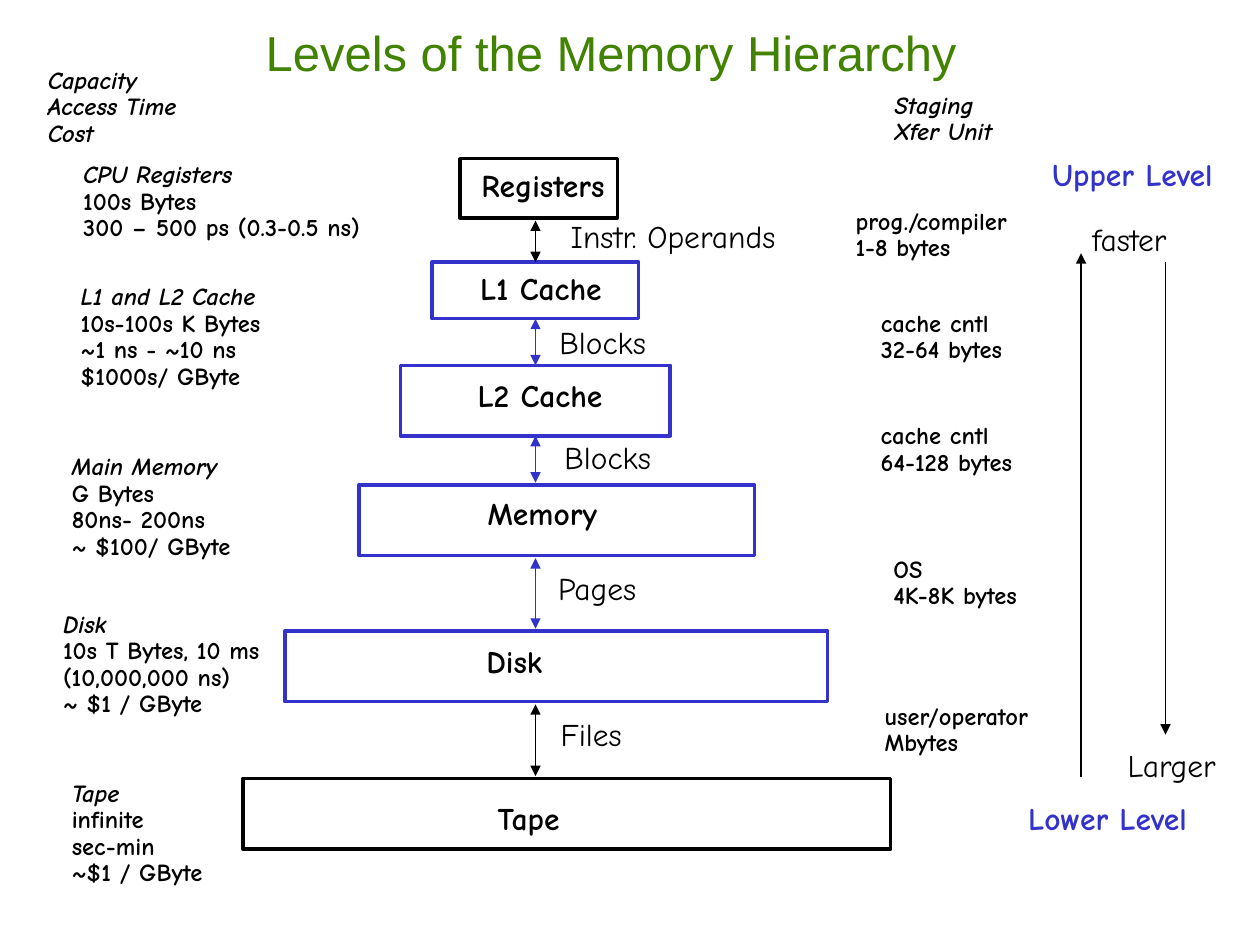
from dataclasses import dataclass

from lxml import etree
from pptx import Presentation
from pptx.dml.color import RGBColor
from pptx.enum.shapes import MSO_CONNECTOR, MSO_SHAPE
from pptx.enum.text import MSO_ANCHOR, MSO_AUTO_SIZE, PP_ALIGN
from pptx.oxml.ns import qn
from pptx.util import Inches, Pt

RECT = MSO_SHAPE.RECTANGLE
STRAIGHT = MSO_CONNECTOR.STRAIGHT
TOP, BOTTOM = 0, 2


@dataclass(frozen=True)
class Theme:
    title_font: str = "Arial"
    font: str = "Comic Neue"
    green: RGBColor = RGBColor(0x41, 0x82, 0x00)
    blue: RGBColor = RGBColor(0x33, 0x33, 0xCC)
    black: RGBColor = RGBColor(0, 0, 0)
    title_size: int = 28
    label_size: int = 18
    note_size: int = 14


THEME = Theme()
AXIS = 4.25
LABEL_HEIGHT = 0.31
WIDTH_SLACK = 0.08  # keeps each line of a tight text box from wrapping

# name, box (left, top, width, height), label (left, top, width), colour
LEVELS = [
    ("Registers", (3.65, 1.26, 1.25, 0.47), (3.75, 1.33, 1.12), THEME.black),
    ("L1 Cache", (3.43, 2.08, 1.64, 0.45), (3.74, 2.15, 1.10), THEME.blue),
    ("L2 Cache", (3.18, 2.90, 2.14, 0.56), (3.72, 3.00, 1.13), THEME.blue),
    ("Memory", (2.85, 3.85, 3.14, 0.56), (3.80, 3.94, 1.01), THEME.blue),
    ("Disk", (2.26, 5.01, 4.31, 0.56), (3.79, 5.11, 0.58), THEME.blue),
    ("Tape", (1.93, 6.18, 5.14, 0.56), (3.88, 6.36, 0.65), THEME.black),
]

# unit moved between neighbouring levels, label (left, top, width), arrow colour
TRANSFERS = [
    ("Instr. Operands", (4.46, 1.74, 1.79), THEME.black),
    ("Blocks", (4.37, 2.58, 0.83), THEME.blue),
    ("Blocks", (4.41, 3.49, 0.83), THEME.blue),
    ("Pages", (4.36, 4.53, 0.77), THEME.blue),
    ("Files", (4.38, 5.69, 0.62), THEME.black),
]

# left, top, width, lines; the first line is in italics
CAPACITIES = [
    (0.59, 1.26, 2.34, ["CPU Registers", "100s Bytes", "300 – 500 ps (0.3-0.5 ns)"]),
    (0.57, 2.23, 1.57, ["L1 and L2 Cache", "10s-100s K Bytes",
                        "~1 ns - ~10 ns", "$1000s/ GByte"]),
    (0.50, 3.58, 1.40, ["Main Memory", "G Bytes", "80ns- 200ns", "~ $100/ GByte"]),
    (0.43, 4.83, 1.77, ["Disk", "10s T Bytes, 10 ms", "(10,000,000 ns)",
                        "~ $1 / GByte"]),
    (0.50, 6.17, 1.18, ["Tape", "infinite", "sec-min", "~$1 / GByte"]),
]

STAGING = [
    (6.72, 1.63, 1.36, ["prog./compiler", "1-8 bytes"]),
    (6.92, 2.44, 1.11, ["cache cntl", "32-64 bytes"]),
    (6.92, 3.33, 1.19, ["cache cntl", "64-128 bytes"]),
    (7.02, 4.39, 1.13, ["OS", "4K-8K bytes"]),
    (6.95, 5.56, 1.30, ["user/operator", "Mbytes"]),
]


def format_run(r, size, color, font=THEME.font, bold=False, italic=False):
    r.font.name = font
    r.font.size = Pt(size)
    r.font.color.rgb = color
    r.font.bold = bold
    r.font.italic = italic


def add_title(slide, text):
    title = slide.shapes.title
    title.left, title.top = Inches(1.31), Inches(0.19)
    title.width, title.height = Inches(7.08), Inches(0.45)
    tf = title.text_frame
    tf.text = text
    tf.auto_size = MSO_AUTO_SIZE.NONE
    tf.vertical_anchor = MSO_ANCHOR.MIDDLE
    p = tf.paragraphs[0]
    p.alignment = PP_ALIGN.CENTER
    format_run(p.runs[0], THEME.title_size, THEME.green, THEME.title_font)


def add_text(slide, left, top, width, height, lines, size, spacing,
             color=THEME.black, bold=True, italic_lines=0):
    """Add a text box whose first italic_lines paragraphs are in italics."""
    box = slide.shapes.add_textbox(
        *map(Inches, (left, top, width + WIDTH_SLACK, height)))
    tf = box.text_frame
    tf.text = "\n".join(lines)
    tf.word_wrap = True
    tf.auto_size = MSO_AUTO_SIZE.NONE
    tf.margin_left = tf.margin_right = Inches(0.07)
    tf.margin_top = tf.margin_bottom = Inches(0.03)
    for i, p in enumerate(tf.paragraphs):
        p.line_spacing = spacing
        for r in p.runs:
            format_run(r, size, color, bold=bold, italic=i < italic_lines)


def add_label(slide, place, text, color=THEME.black, bold=False):
    add_text(slide, *place, LABEL_HEIGHT, [text], THEME.label_size, 0.85, color, bold)


def add_note(slide, left, top, width, lines, italic_lines=0):
    height = 0.06 + 0.21 * len(lines)
    add_text(slide, left, top, width, height, lines, THEME.note_size, 0.9,
             italic_lines=italic_lines)


def add_level_box(slide, place, color):
    sp = slide.shapes.add_shape(RECT, *map(Inches, place))
    sp.shadow.inherit = False
    sp.fill.background()
    sp.line.color.rgb = color
    sp.line.width = Pt(2)
    return sp


def add_arrow(slide, x, y1, y2, color=THEME.black, both_ends=False):
    line = slide.shapes.add_connector(
        STRAIGHT, Inches(x), Inches(y1), Inches(x), Inches(y2))
    line.line.color.rgb = color
    line.line.width = Pt(1)
    ln = line.line._get_or_add_ln()
    for end in ("headEnd", "tailEnd") if both_ends else ("tailEnd",):
        etree.SubElement(ln, qn(f"a:{end}"), type="triangle")
    etree.SubElement(line._element.spPr, qn("a:effectLst"))
    return line


def is_on_axis(box):
    return abs(box.left + box.width / 2 - Inches(AXIS)) < Inches(0.01)


def add_hierarchy(slide):
    boxes = []
    for name, place, label, color in LEVELS:
        boxes.append(add_level_box(slide, place, color))
        add_label(slide, label, name, bold=True)
    for upper, lower, (unit, label, color) in zip(boxes, boxes[1:], TRANSFERS):
        start = (upper.top + upper.height) / Inches(1) + 0.02
        end = lower.top / Inches(1) - 0.02
        arrow = add_arrow(slide, AXIS, start, end, color, both_ends=True)
        if is_on_axis(upper):
            arrow.begin_connect(upper, BOTTOM)
        if is_on_axis(lower):
            arrow.end_connect(lower, TOP)
        add_label(slide, label, unit)


def add_notes_columns(slide):
    add_note(slide, 0.31, 0.51, 2.25, ["Capacity", "Access Time", "Cost"], 3)
    for note in CAPACITIES:
        add_note(slide, *note, italic_lines=1)
    add_note(slide, 7.03, 0.71, 0.92, ["Staging", "Xfer Unit"], 2)
    for note in STAGING:
        add_note(slide, *note)


def add_speed_and_size_scale(slide):
    add_label(slide, (8.28, 1.25, 1.42), "Upper Level", THEME.blue, bold=True)
    add_label(slide, (8.09, 6.36, 1.40), "Lower Level", THEME.blue, bold=True)
    add_arrow(slide, 8.58, 6.17, 2.01)
    add_label(slide, (8.60, 1.76, 0.74), "faster")
    add_arrow(slide, 9.25, 2.08, 5.83)
    add_label(slide, (8.88, 5.94, 0.85), "Larger")


def main():
    prs = Presentation()
    prs.slide_width, prs.slide_height = Inches(10), Inches(7.5)
    slide = prs.slides.add_slide(prs.slide_layouts[5])
    add_title(slide, "Levels of the Memory Hierarchy")
    add_notes_columns(slide)
    add_hierarchy(slide)
    add_speed_and_size_scale(slide)
    prs.save("out.pptx")


if __name__ == "__main__":
    main()
